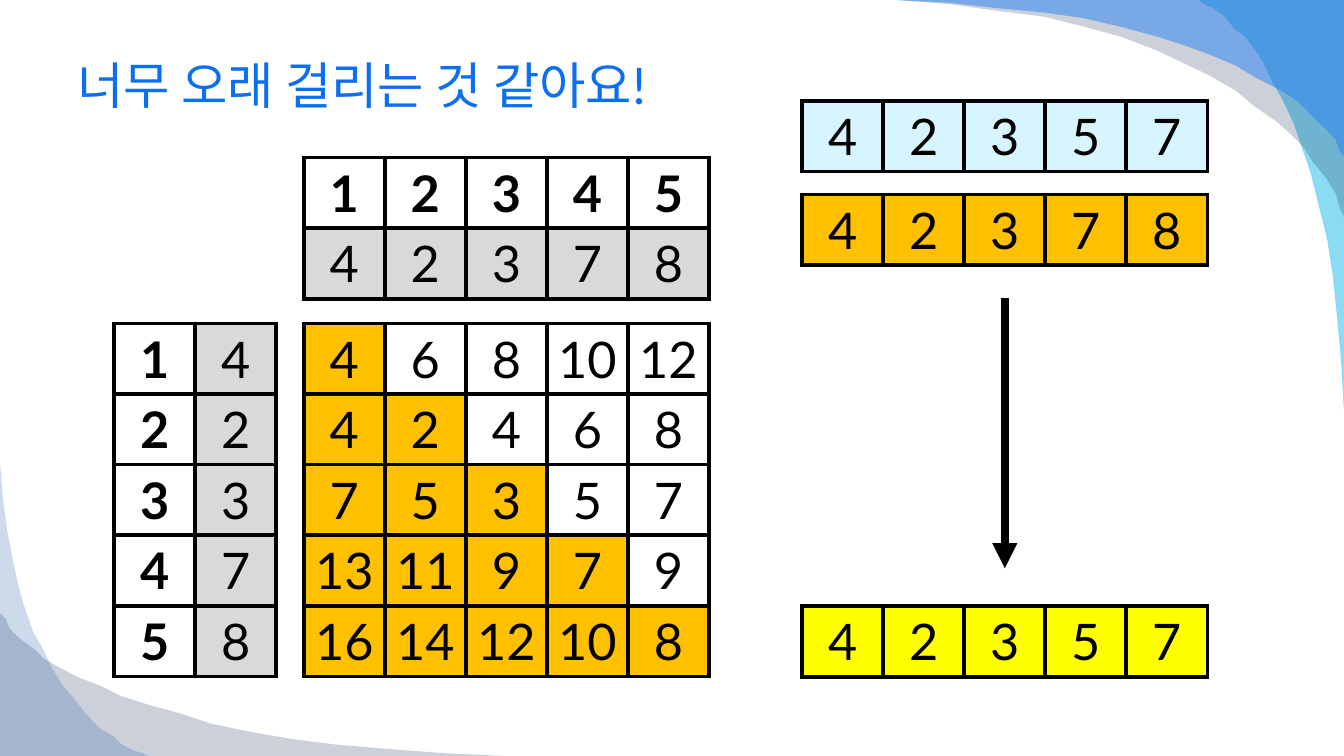
import lxml.etree
import pptx
import pptx.dml.color
import pptx.enum.shapes
import pptx.enum.text
import pptx.oxml
import pptx.oxml.ns
import pptx.util

Pt = pptx.util.Pt
RGBColor = pptx.dml.color.RGBColor
qn = pptx.oxml.ns.qn
PP_ALIGN = pptx.enum.text.PP_ALIGN
MSO_ANCHOR = pptx.enum.text.MSO_ANCHOR

BLACK = RGBColor(0x00, 0x00, 0x00)
WHITE = RGBColor(0xFF, 0xFF, 0xFF)
GRAY = RGBColor(0xD9, 0xD9, 0xD9)
ORANGE = RGBColor(0xFF, 0xC0, 0x00)
YELLOW = RGBColor(0xFF, 0xFF, 0x00)
PALE_BLUE = RGBColor(0xD7, 0xF5, 0xFF)
TITLE_BLUE = RGBColor(0x0C, 0x6F, 0xF2)
CYAN = RGBColor(0x00, 0xB1, 0xE9)
NAVY = RGBColor(0x02, 0x17, 0x41)
BRIGHT_BLUE = RGBColor(0x24, 0x7F, 0xF4)
DEEP_BLUE = RGBColor(0x08, 0x4A, 0xA1)

FONT = "Lato"
WIDTH, HEIGHT = 960, 540
CELL_WIDTH, CELL_HEIGHT = 57.9, 50.4
COSTS = [4, 2, 3, 7, 8]
BEST = [4, 2, 3, 5, 7]

# Shared curve of the corner waves: (share of the long side, share of the short side)
WAVE = [(0, 0), (0.12, 0.02), (0.23, 0.05), (0.33, 0.08), (0.42, 0.12), (0.5, 0.17),
        (0.58, 0.23), (0.64, 0.29), (0.7, 0.35), (0.76, 0.42), (0.8, 0.49), (0.85, 0.56),
        (0.88, 0.62), (0.91, 0.68), (0.93, 0.75), (0.96, 0.82), (0.98, 0.89),
        (0.99, 0.96), (1, 1)]


def write_text(frame, text, color=BLACK, size=36, bold=False, align=PP_ALIGN.LEFT):
    paragraph = frame.paragraphs[0]
    paragraph.alignment = align
    run = paragraph.add_run()
    run.text = str(text)
    run.font.name = FONT
    run.font.size = Pt(size)
    run.font.bold = bold
    run.font.color.rgb = color


def add_wave(slide, tip, corner, end, color, opacity):
    """Fill the area between a slide corner and the curve from tip to end."""
    points = [tuple(tip[axis] + along * (corner[axis] - tip[axis])
                    + across * (end[axis] - corner[axis]) for axis in (0, 1))
              for along, across in WAVE]
    builder = slide.shapes.build_freeform(*points[0], scale=Pt(1))
    builder.add_line_segments(points[1:] + [corner])
    shape = builder.convert_to_shape()
    shape.shadow.inherit = False
    shape.line.fill.background()
    shape.fill.solid()
    shape.fill.fore_color.rgb = color
    color_element = shape.fill._xPr.find(qn("a:solidFill"))[0]
    lxml.etree.SubElement(color_element, qn("a:alpha")).set("val", str(opacity * 1000))


def add_background(slide):
    top_right, bottom_left = (WIDTH, 0), (0, HEIGHT)
    add_wave(slide, (WIDTH, 294), top_right, (856, 0), CYAN, 45)
    add_wave(slide, (640, 0), top_right, (WIDTH, 155), NAVY, 20)
    add_wave(slide, (640, 0), top_right, (WIDTH, 112), BRIGHT_BLUE, 49)
    add_wave(slide, (360, HEIGHT), bottom_left, (0, 438), NAVY, 20)
    add_wave(slide, (0, 330), bottom_left, (106.5, HEIGHT), DEEP_BLUE, 20)


def add_title(slide, left, top, width, height):
    frame = slide.shapes.add_textbox(Pt(left), Pt(top), Pt(width), Pt(height)).text_frame
    frame.word_wrap = True
    frame.vertical_anchor = MSO_ANCHOR.MIDDLE
    write_text(frame, "너무 오래 걸리는 것 같아요!", color=TITLE_BLUE)


def add_borders(cell):
    properties = cell._tc.get_or_add_tcPr()
    for side in ("lnL", "lnR", "lnT", "lnB"):
        border = lxml.etree.SubElement(properties, qn("a:" + side), w=str(Pt(3)))
        fill = lxml.etree.SubElement(border, qn("a:solidFill"))
        lxml.etree.SubElement(fill, qn("a:srgbClr"), val=str(BLACK))


def add_number_table(slide, left, top, rows, fill_of, bold_of=lambda row, column: False):
    """Draw rows of numbers; fill_of and bold_of take the row and column of a cell."""
    column_count = len(rows[0])
    frame = slide.shapes.add_table(len(rows), column_count, Pt(left), Pt(top),
                                   Pt(CELL_WIDTH * column_count), Pt(CELL_HEIGHT * len(rows)))
    table = frame.table
    table.first_row = table.horz_banding = False
    for column in table.columns:
        column.width = Pt(CELL_WIDTH)
    for r, row in enumerate(rows):
        table.rows[r].height = Pt(CELL_HEIGHT)
        for c, number in enumerate(row):
            cell = table.cell(r, c)
            cell.vertical_anchor = MSO_ANCHOR.MIDDLE
            add_borders(cell)
            cell.fill.solid()
            cell.fill.fore_color.rgb = fill_of(r, c)
            write_text(cell.text_frame, number, bold=bold_of(r, c), align=PP_ALIGN.CENTER)


def add_cost_matrix(slide, left, top):
    """Place the side list, the header and the cost grid."""
    grid_left, grid_top = left + 135.5, top + 118.5
    days = range(1, len(COSTS) + 1)
    costs = [[COSTS[c] + 2 * (c - r) if c >= r else None for c in range(5)] for r in range(5)]
    costs = [[4, 6, 8, 10, 12], [4, 2, 4, 6, 8], [7, 5, 3, 5, 7],
             [13, 11, 9, 7, 9], [16, 14, 12, 10, 8]]
    add_number_table(slide, left, grid_top, list(zip(days, COSTS)),
                     lambda row, column: GRAY if column else WHITE,
                     lambda row, column: column == 0)
    add_number_table(slide, grid_left, top, [days, COSTS],
                     lambda row, column: GRAY if row else WHITE,
                     lambda row, column: row == 0)
    add_number_table(slide, grid_left, grid_top, costs,
                     lambda row, column: ORANGE if column <= row else WHITE)


def add_arrow(slide, x, top, bottom):
    arrow = slide.shapes.add_connector(pptx.enum.shapes.MSO_CONNECTOR.STRAIGHT,
                                       Pt(x), Pt(top), Pt(x), Pt(bottom))
    arrow.line.color.rgb = BLACK
    arrow.line.width = Pt(6)
    lxml.etree.SubElement(arrow.line._get_or_add_ln(), qn("a:tailEnd"), type="triangle")
    lxml.etree.SubElement(arrow._element.spPr, qn("a:effectLst"))


def add_result_column(slide, left, top):
    """Place the two rows to compare, the arrow and the row of minimums."""
    for offset, numbers, color in ((67, COSTS, ORANGE), (0, BEST, PALE_BLUE),
                                   (361, BEST, YELLOW)):
        add_number_table(slide, left, top + offset, [numbers],
                         lambda row, column: color)
    add_arrow(slide, left + CELL_WIDTH * 2.5, top + 141, top + 334)


def main():
    presentation = pptx.Presentation()
    presentation.slide_width, presentation.slide_height = Pt(WIDTH), Pt(HEIGHT)
    slide = presentation.slides.add_slide(presentation.slide_layouts[6])
    add_background(slide)
    add_title(slide, 48, 24, 864, 73)
    add_cost_matrix(slide, 81.5, 112.5)
    add_result_column(slide, 573, 72)
    presentation.save("out.pptx")


if __name__ == "__main__":
    main()
